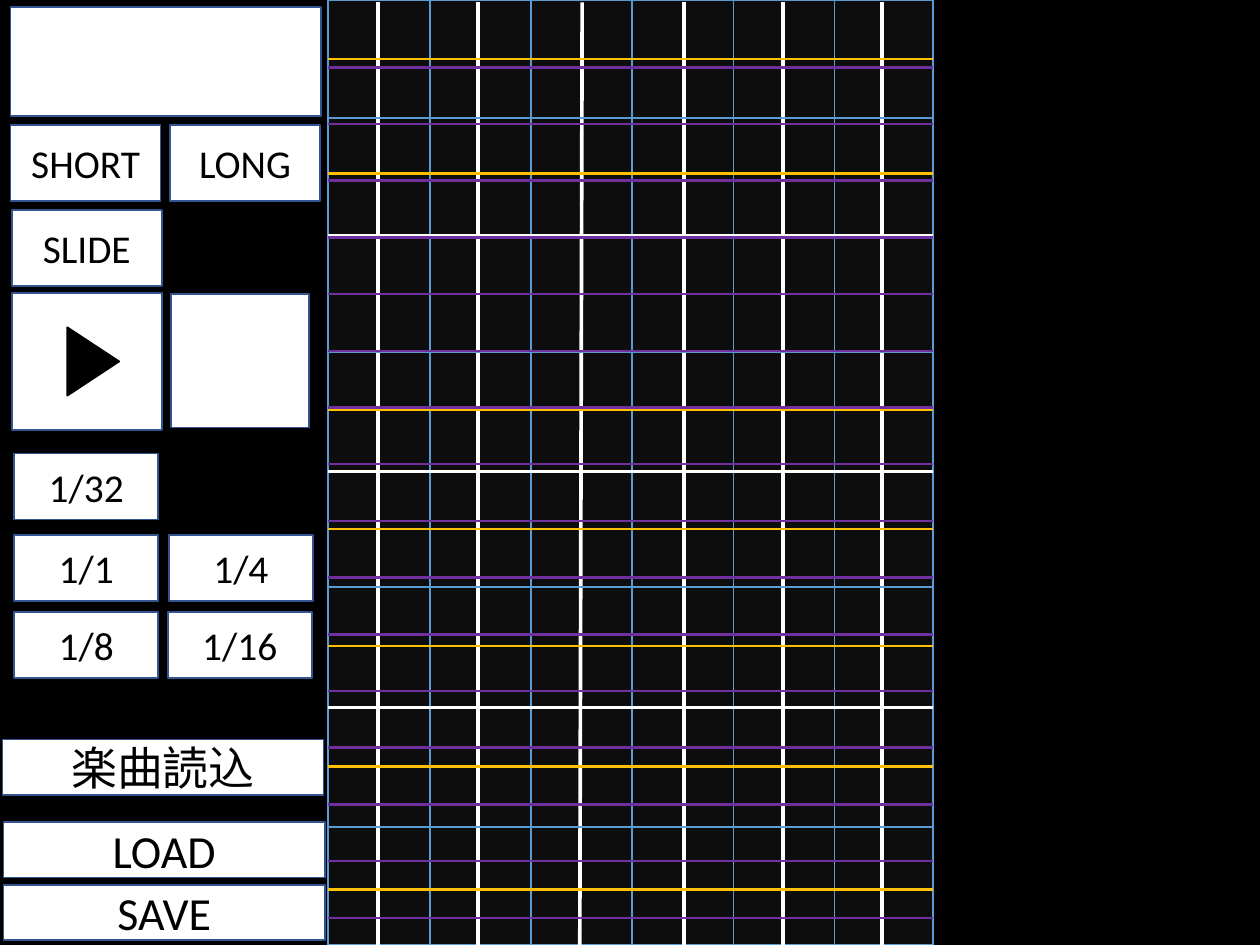
from pptx import Presentation
from pptx.dml.color import RGBColor
from pptx.enum.shapes import MSO_CONNECTOR, MSO_SHAPE
from pptx.enum.text import MSO_ANCHOR, PP_ALIGN
from pptx.oxml.ns import qn
from pptx.util import Inches, Pt
from lxml import etree

RECTANGLE = MSO_SHAPE.RECTANGLE
TRIANGLE = MSO_SHAPE.ISOSCELES_TRIANGLE
STRAIGHT = MSO_CONNECTOR.STRAIGHT

COLOURS = {
    "black": "000000", "white": "FFFFFF", "lane": "0D0D0D",
    "blue": "5B9BD5", "border": "325491", "gold": "FFC000", "purple": "7030A0",
}


def colour(name):
    return RGBColor.from_string(COLOURS[name])


def add_box(page, box, fill="white", line="border", kind=RECTANGLE):
    shape = page.shapes.add_shape(kind, *(Inches(value) for value in box))
    shape.shadow.inherit = False
    shape.fill.solid()
    shape.fill.fore_color.rgb = colour(fill)
    shape.line.color.rgb = colour(line)
    shape.line.width = Pt(1)
    return shape


def add_button(page, box, label, size=24):
    frame = add_box(page, box).text_frame
    frame.vertical_anchor = MSO_ANCHOR.MIDDLE
    para = frame.paragraphs[0]
    para.text = label
    para.alignment = PP_ALIGN.CENTER
    para.font.name = "Calibri"
    para.font.size = Pt(size)
    para.font.color.rgb = colour("black")


def add_line(page, start, end, name, width=1.5):
    line = page.shapes.add_connector(
        STRAIGHT, *(Inches(value) for value in (*start, *end)))
    line.line.color.rgb = colour(name)
    line.line.width = Pt(width)
    etree.SubElement(line._element.spPr, qn("a:effectLst"))


def add_lanes(page, box):
    left, top, width, height = box
    lane_width = 0.86
    last_left = left + width - lane_width
    for index in reversed(range(6)):
        lane_left = min(left + index * 0.857, last_left)
        add_box(page, (lane_left, top, lane_width, height), "lane", "blue")


def add_lane_centres(page, box):
    left, top, _, height = box
    # Offsets of the upper and lower end of each centre line
    for upper, lower in ((0.42, 0.42), (1.27, 1.27), (2.15, 2.13),
                         (3.01, 3.01), (3.85, 3.85), (4.69, 4.69)):
        add_line(page, (left + upper, top + 0.02),
                 (left + lower, top + height + 0.02), "white", 2.25)


def add_beats(page, box):
    left, top, width, _ = box
    beats = (
        ("white", (2, 5.99, 3.99)),
        ("blue", (7, 4.97, 2.98, 1)),
        ("gold", (7.53, 6.49, 5.47, 4.48, 3.47, 2.49, 1.47, 0.5)),
        ("purple", [0.57 + 0.48 * index for index in range(16)]),
    )
    for name, offsets in beats:
        for offset in offsets:
            weight = 2.25 if (name, offset) == ("white", 2) else 1.5
            add_line(page, (left, top + offset),
                     (left + width, top + offset), name, weight)


def add_controls(page, box):
    left, top = box[:2]

    def place(x, y, width, height):
        return left + x, top + y, width, height

    # Display, play button and blank button
    add_box(page, place(0.09, 0.06, 2.63, 0.92))
    add_box(page, place(0.1, 2.48, 1.27, 1.16))
    arrow = add_box(page, place(0.5, 2.84, 0.58, 0.44), "black", "black", TRIANGLE)
    arrow.rotation = 90
    add_box(page, place(1.45, 2.49, 1.17, 1.13))

    # Note types
    for label, x, y in (("SHORT", 0.09, 1.06), ("LONG", 1.44, 1.06),
                        ("SLIDE", 0.1, 1.78)):
        add_button(page, place(x, y, 1.27, 0.64), label)

    # Beat divisions
    for label, x, y in (("1/32", 0.12, 3.84), ("1/1", 0.12, 4.53),
                        ("1/4", 1.43, 4.53), ("1/8", 0.12, 5.18),
                        ("1/16", 1.42, 5.18)):
        add_button(page, place(x, y, 1.22, 0.56), label)

    # File commands
    for label, x, y in (("楽曲読込", 0.02, 6.26), ("LOAD", 0.03, 6.96),
                        ("SAVE", 0.03, 7.49)):
        add_button(page, place(x, y, 2.72, 0.47), label, 28)


deck = Presentation()
deck.slide_width = Inches(10.67)
deck.slide_height = Inches(8)
page = deck.slides.add_slide(deck.slide_layouts[6])
page.background.fill.solid()
page.background.fill.fore_color.rgb = colour("black")

score = (2.78, 0, 5.12, 8)
add_lanes(page, score)
add_controls(page, (0, 0, 2.78, 8))
add_lane_centres(page, score)
add_beats(page, score)

deck.save("out.pptx")
